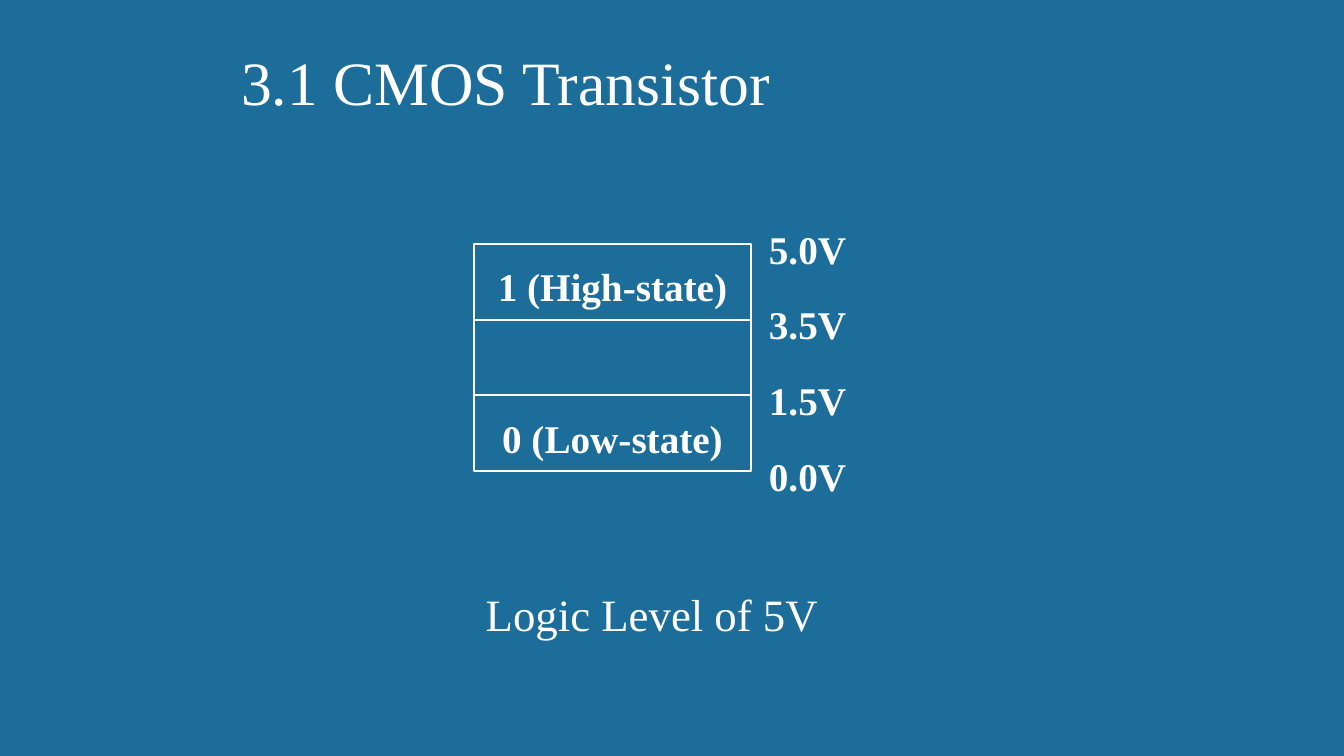
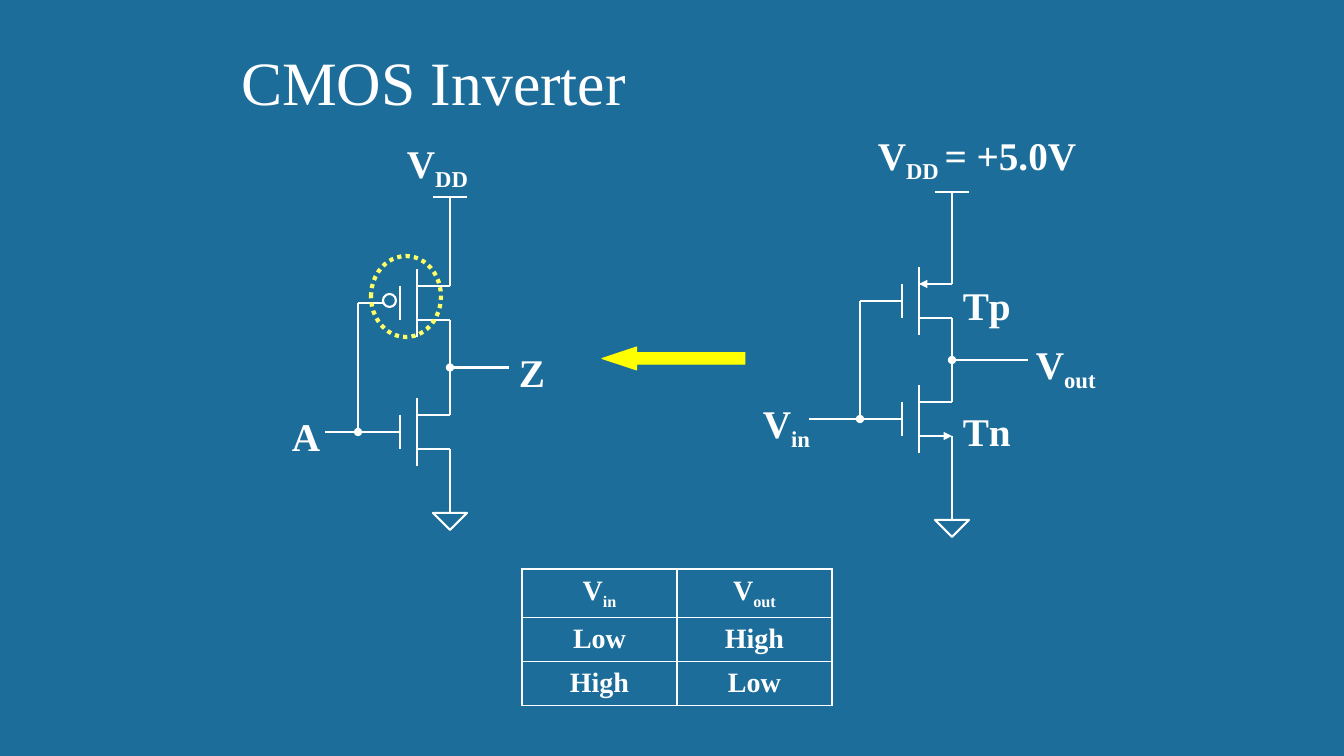
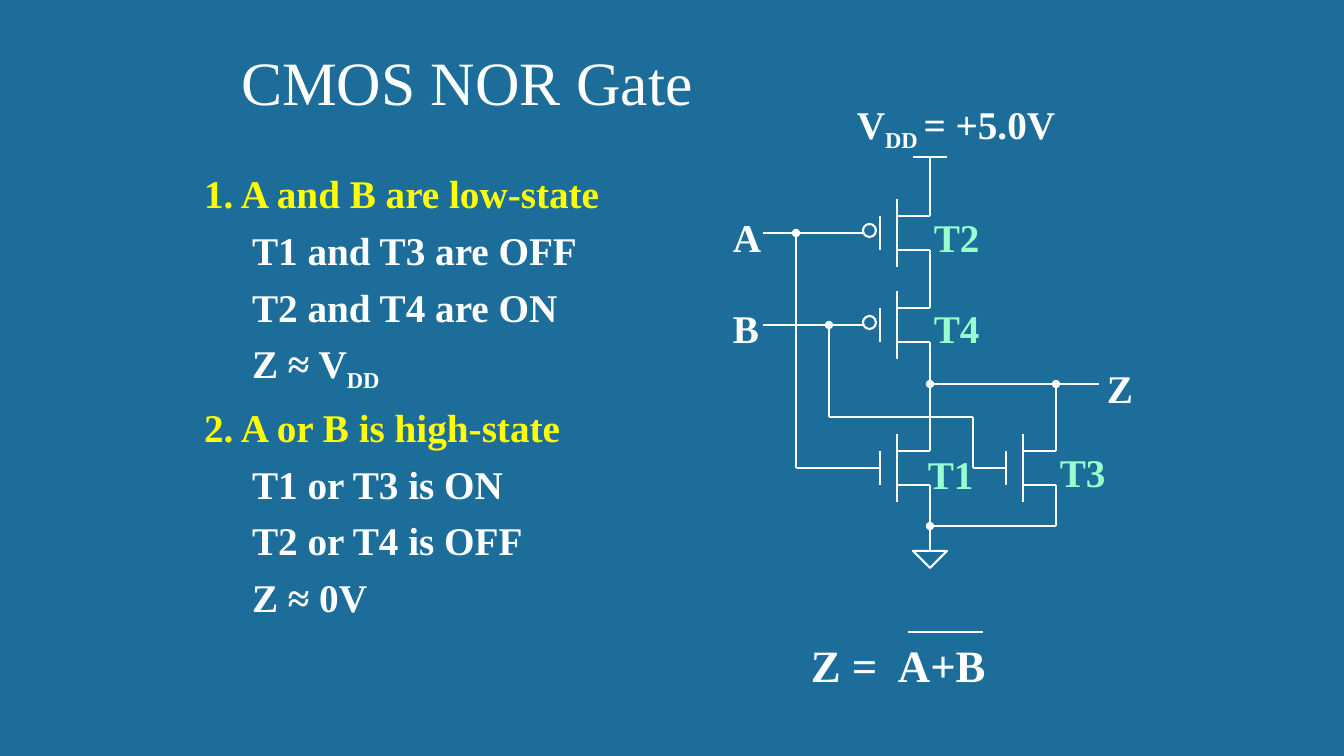
from pptx import Presentation
from pptx.dml.color import RGBColor
from pptx.enum.dml import MSO_LINE
from pptx.enum.shapes import MSO_CONNECTOR, MSO_SHAPE
from pptx.enum.text import MSO_ANCHOR, MSO_AUTO_SIZE, PP_ALIGN
from pptx.oxml.ns import qn
from pptx.util import Pt
from lxml.etree import SubElement

PX = 12192000 / 1344
BLUE = RGBColor(0x1C, 0x6D, 0x9A)
WHITE = RGBColor(0xFF, 0xFF, 0xFF)
YELLOW = RGBColor(0xFF, 0xFF, 0x00)
LEMON = RGBColor(0xFF, 0xFF, 0x66)
MINT = RGBColor(0x99, 0xFF, 0xCC)
FONT = "Times New Roman"
UNIT, REACH, GAP = 17, 50, 34


def px(*nums):
    """Turn pixel lengths into a list of EMU."""
    return [round(n * PX) for n in nums]


def say(para, text, size=28, bold=True, color=WHITE, align=None, line=None):
    """Fill a paragraph; every second part between bars is a subscript."""
    para.alignment = align
    para.line_spacing = line
    for num, part in enumerate(text.split("|")):
        run = para.add_run()
        run.text = part
        font = run.font
        font.name, font.size, font.bold = FONT, Pt(size), bold
        font.color.rgb = color
        if num % 2:
            run._r.get_or_add_rPr().set("baseline", "-25000")


def label(slide, text, x, y, w, h=57, **form):
    """Add a one-line text box."""
    box = slide.shapes.add_textbox(*px(x, y, w, h))
    frame = box.text_frame
    frame.word_wrap = False
    frame.auto_size = MSO_AUTO_SIZE.SHAPE_TO_FIT_TEXT
    say(frame.paragraphs[0], text, **form)
    return box


def shape(slide, kind, x, y, w, h, color=WHITE, width=1.5, fill=None):
    """Add an outlined shape, with a fill if one is given."""
    item = slide.shapes.add_shape(kind, *px(x, y, w, h))
    item.shadow.inherit = False
    item.line.color.rgb = color
    item.line.width = Pt(width)
    if fill is None:
        item.fill.background()
    else:
        item.fill.solid()
        item.fill.fore_color.rgb = fill
    return item


def wire(slide, x1, y1, x2, y2, head=None, tail=None):
    """Draw a white line with optional ends."""
    item = slide.shapes.add_connector(MSO_CONNECTOR.STRAIGHT, *px(x1, y1, x2, y2))
    item.line.color.rgb = WHITE
    item.line.width = Pt(1.5)
    line = item.line._get_or_add_ln()
    for tag, kind in (("a:headEnd", head), ("a:tailEnd", tail)):
        if kind:
            SubElement(line, qn(tag), type=kind)
    SubElement(item._element.spPr, qn("a:effectLst"))


def wires(slide, x, y, rows):
    """Draw lines given relative to a corner."""
    for x1, y1, x2, y2, *ends in rows:
        wire(slide, x + x1, y + y1, x + x2, y + y2, *ends)


def labels(slide, x, y, rows, **form):
    """Add labels given relative to a corner."""
    for text, left, top, width in rows:
        label(slide, text, x + left, y + top, width, **form)


def mos(slide, x, y, bubble=False, head=None, tail=None):
    """Draw a transistor with the top of its gate at a point."""
    wires(slide, x, y, [
        (0, 0, 0, GAP),
        (UNIT, -UNIT, UNIT, GAP + UNIT),
        (UNIT, 0, REACH, 0, head),
        (UNIT, GAP, REACH, GAP, None, tail),
    ])
    if bubble:
        shape(slide, MSO_SHAPE.OVAL, x - UNIT, y + 8, 13, 13)


def rails(slide, x, top, low):
    """Draw the supply bar and the ground sign of a circuit."""
    wire(slide, x - UNIT, top, x + UNIT, top)
    sign = shape(slide, MSO_SHAPE.ISOSCELES_TRIANGLE, x - UNIT, low, 2 * UNIT, UNIT)
    sign._element.spPr.xfrm.set("flipV", "1")


def invert(slide, x, y, w, h, gate, high, low, names, bubble=False):
    """Draw an inverter from its input lead to its output lead."""
    out, loop = gate + REACH, gate - 42
    mid = (high + GAP + low) / 2
    head, tail = (None, None) if bubble else ("triangle", "triangle")
    mos(slide, x + gate, y + high, bubble, head=head)
    mos(slide, x + gate, y + low, tail=tail)
    rails(slide, x + out, y, y + h)
    wires(slide, x, y, [
        (out, 0, out, high),
        (out, high + GAP, out, low),
        (out, low + GAP, out, h),
        (out, mid, w, mid, "oval"),
        (loop, high + UNIT, gate - UNIT * bubble, high + UNIT),
        (loop, high + UNIT, loop, low + UNIT, None, "oval"),
        (0, low + UNIT, gate, low + UNIT),
    ])
    labels(slide, x, y, names)


def nor(slide, x, y, w, h):
    """Draw a NOR gate from its input leads to its output lead."""
    gate, side, a, b, low = 117, 243, 59, 151, 294
    out, far, col, row, turn = gate + REACH, side + REACH, 33, 260, 210
    pin, foot, mid, base = low + UNIT, low + GAP, 227, 369
    for left, top, bubble in ((gate, a, True), (gate, b, True), (gate, low, False), (side, low, False)):
        mos(slide, x + left, y + top, bubble)
    rails(slide, x + out, y, y + h)
    wires(slide, x, y, [
        (out, 0, out, a),
        (out, a + GAP, out, b),
        (out, b + GAP, out, low),
        (out, foot, out, h),
        (0, a + UNIT, gate - UNIT, a + UNIT),
        (0, b + UNIT, gate - UNIT, b + UNIT),
        (col, a + UNIT, col, pin, "oval"),
        (col, pin, gate, pin),
        (2 * col, b + UNIT, 2 * col, row, "oval"),
        (2 * col, row, turn, row),
        (turn, row, turn, pin),
        (turn, pin, side, pin),
        (out, mid, w, mid, "oval"),
        (far, mid, far, low, "oval"),
        (far, foot, far, base),
        (out, base, far, base, "oval"),
    ])
    labels(slide, x, y, [
        ("V|DD |= +5.0V", 84, -62, 227),
        ("Z", 334, 202, 46),
        ("A", -40, 51, 49),
        ("B", -40, 142, 46),
    ])
    labels(slide, x, y, [
        ("T1", 155, 288, 67),
        ("T2", 161, 51, 67),
        ("T4", 161, 142, 67),
        ("T3", 287, 286, 67),
    ], color=MINT)


def levels(slide, x, y, w, h):
    """Draw the bands of logic levels with their voltages."""
    box = shape(slide, MSO_SHAPE.RECTANGLE, x, y, w, h)
    frame = box.text_frame
    frame.word_wrap = False
    frame.vertical_anchor = MSO_ANCHOR.MIDDLE
    frame.margin_top, frame.margin_bottom = px(8, 0)
    say(frame.paragraphs[0], "1 (High-state)", align=PP_ALIGN.CENTER)
    para = frame.add_paragraph()
    say(para, "0 (Low-state)", align=PP_ALIGN.CENTER)
    para.space_before = Pt(75)
    step = h / 3
    wires(slide, x, y, [(0, step * n, w, step * n) for n in (1, 2)])
    volts = ("5.0V", "3.5V", "1.5V", "0.0V")
    labels(slide, x, y, [(v, w + 8, step * n - 24, 99) for n, v in enumerate(volts)])


def truth(slide, x, y, w, rows):
    """Add the truth table."""
    tall = [48, 44, 44]
    table = slide.shapes.add_table(len(rows), 2, *px(x, y, w, sum(tall))).table
    table.first_row = table.horz_banding = False
    for col in table.columns:
        col.width = px(w / 2)[0]
    for num, row in enumerate(rows):
        table.rows[num].height = px(tall[num])[0]
        for col, text in enumerate(row):
            cell = table.cell(num, col)
            cell.vertical_anchor = MSO_ANCHOR.MIDDLE
            say(cell.text_frame.paragraphs[0], text, size=20, align=PP_ALIGN.CENTER)
            props = cell._tc.get_or_add_tcPr()
            for side in "LRTB":
                line = SubElement(props, qn("a:ln" + side), w="12700")
                fill = SubElement(line, qn("a:solidFill"))
                SubElement(fill, qn("a:srgbClr"), val=str(WHITE))
            cell.fill.background()


def cases(slide, x, y, w, h, rows):
    """Fill the body with headed cases."""
    body = slide.placeholders[1]
    body.left, body.top, body.width, body.height = px(x, y, w, h)
    frame = body.text_frame
    frame.auto_size = MSO_AUTO_SIZE.NONE
    for num, text in enumerate(rows):
        para = frame.add_paragraph() if num else frame.paragraphs[0]
        top = text[0].isdigit()
        props = para._p.get_or_add_pPr()
        props.set("marL", str(px(0 if top else 48)[0]))
        props.set("indent", "0")
        SubElement(props, qn("a:buNone"))
        para.space_before = Pt(7 if num else 0)
        say(para, text, color=YELLOW if top else WHITE)


def result(slide, x, y, w, h):
    """Write the equation with a bar over its right side."""
    box = label(slide, "Z =\tA+B", x, y, w, h, size=32)
    box.text_frame.word_wrap = True
    props = box.text_frame.paragraphs[0]._p.get_or_add_pPr()
    tabs = SubElement(props, qn("a:tabLst"))
    SubElement(tabs, qn("a:tab"), pos=str(px(87)[0]), algn="l")
    wire(slide, x + 107, y - 1, x + 182, y - 1)


def page(deck, kind, text):
    """Add a slide with its title."""
    slide = deck.slides.add_slide(deck.slide_layouts[kind])
    title = slide.shapes.title
    title.left, title.top, title.width, title.height = px(231, 39, 857, 84)
    frame = title.text_frame
    frame.auto_size = MSO_AUTO_SIZE.NONE
    frame.vertical_anchor = MSO_ANCHOR.BOTTOM
    say(frame.paragraphs[0], text, size=44, bold=False, align=PP_ALIGN.LEFT)
    return slide


def main():
    """Build and save the deck."""
    deck = Presentation()
    deck.slide_width, deck.slide_height = px(1344, 756)
    back = deck.slide_master.background.fill
    back.solid()
    back.fore_color.rgb = BLUE

    slide = page(deck, 5, "3.1 CMOS Transistor")
    levels(slide, 474, 244, 277, 227)
    label(slide, "Logic Level of 5V", 474, 560, 356, 86, size=32, bold=False,
          align=PP_ALIGN.CENTER, line=1.4)

    slide = page(deck, 5, "CMOS Inverter")
    invert(slide, 809, 192, 219, 328, 93, 92, 210, [
        ("V|DD |= +5.0V", 59, -66, 227),
        ("V|out", 217, 143, 82),
        ("V|in", -56, 202, 70),
        ("Tp", 144, 84, 69),
        ("Tn", 144, 210, 69),
    ])
    invert(slide, 325, 197, 184, 316, 75, 89, 218, [
        ("V|DD", 72, -63, 95),
        ("A", -43, 210, 49),
        ("Z", 184, 146, 46),
    ], bubble=True)
    arrow = shape(slide, MSO_SHAPE.LEFT_ARROW, 602, 347, 143, 23, YELLOW, 0.75, YELLOW)
    arrow.adjustments[0], arrow.adjustments[1] = 0.5, 1.51
    truth(slide, 522, 569, 310, [("V|in", "V|out"), ("Low", "High"), ("High", "Low")])
    ring = shape(slide, MSO_SHAPE.OVAL, 371, 256, 70, 81, LEMON, 3)
    ring.line.dash_style = MSO_LINE.ROUND_DOT

    slide = page(deck, 1, "CMOS NOR Gate")
    cases(slide, 194, 164, 644, 562, [
        "1. A and B are low-state",
        "T1 and T3 are OFF",
        "T2 and T4 are ON",
        "Z ≈ V|DD",
        "2. A or B is high-state",
        "T1 or T3 is ON",
        "T2 or T4 is OFF",
        "Z ≈ 0V",
    ])
    nor(slide, 763, 157, 336, 394)
    result(slide, 801, 633, 313, 64)
    deck.save("out.pptx")


if __name__ == "__main__":
    main()
